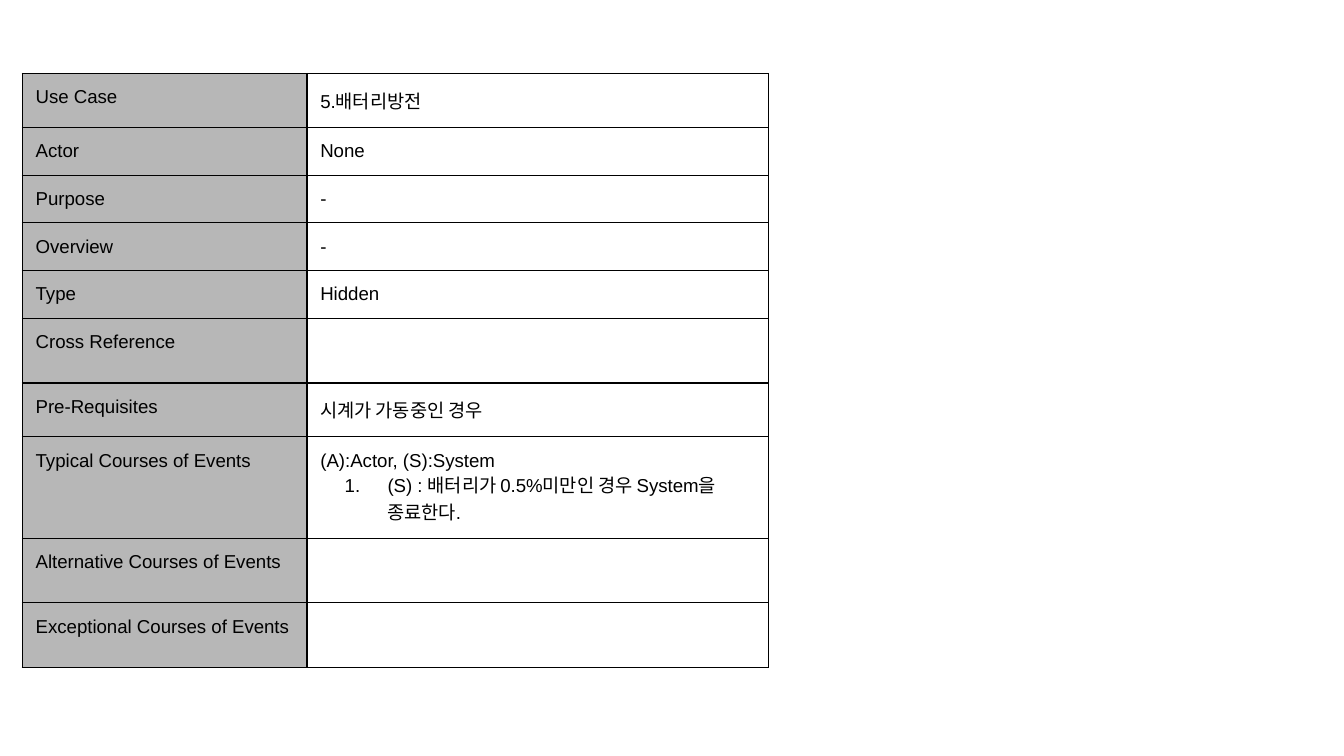
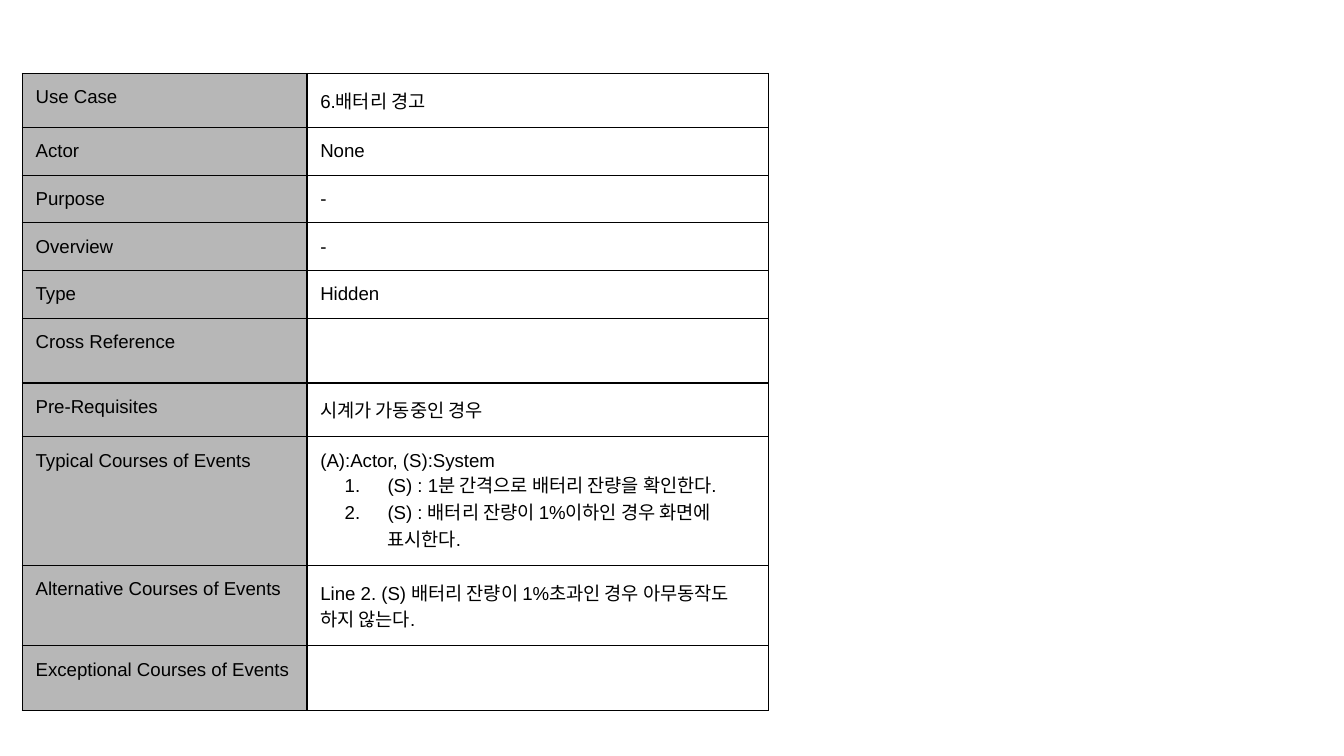
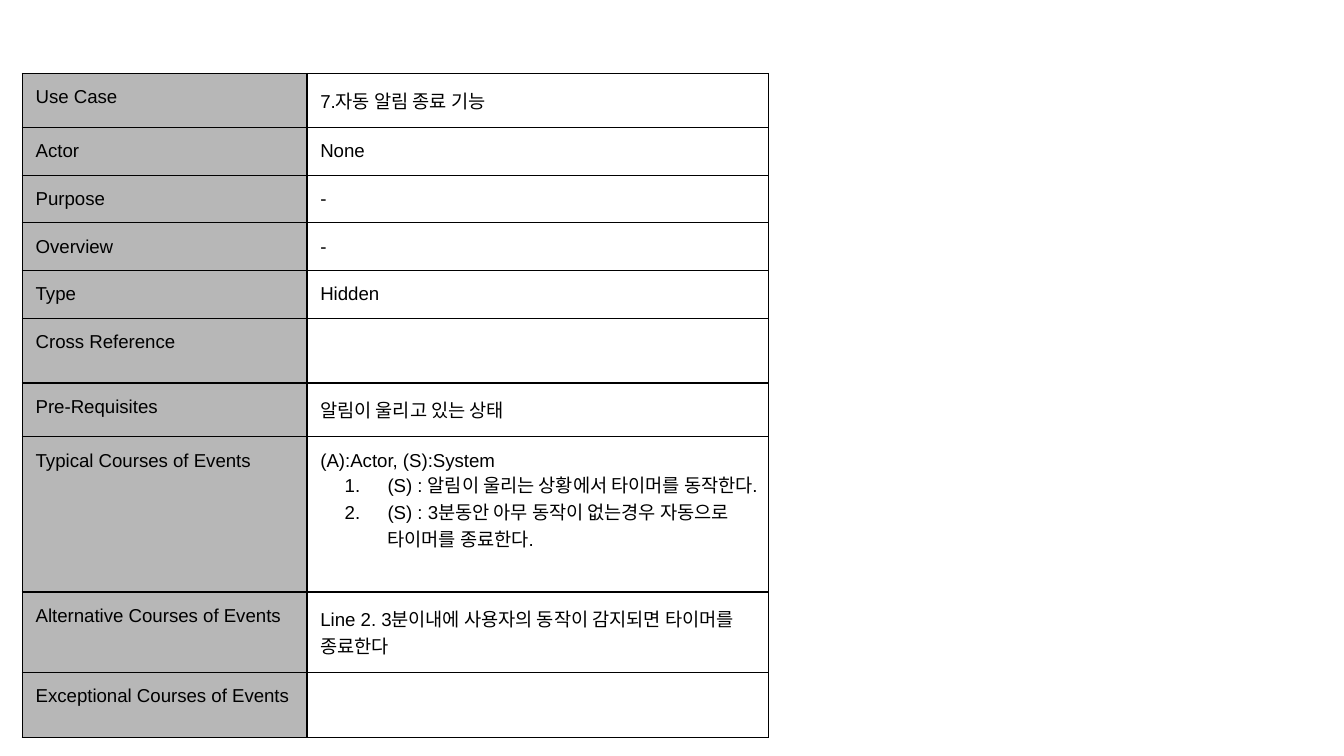
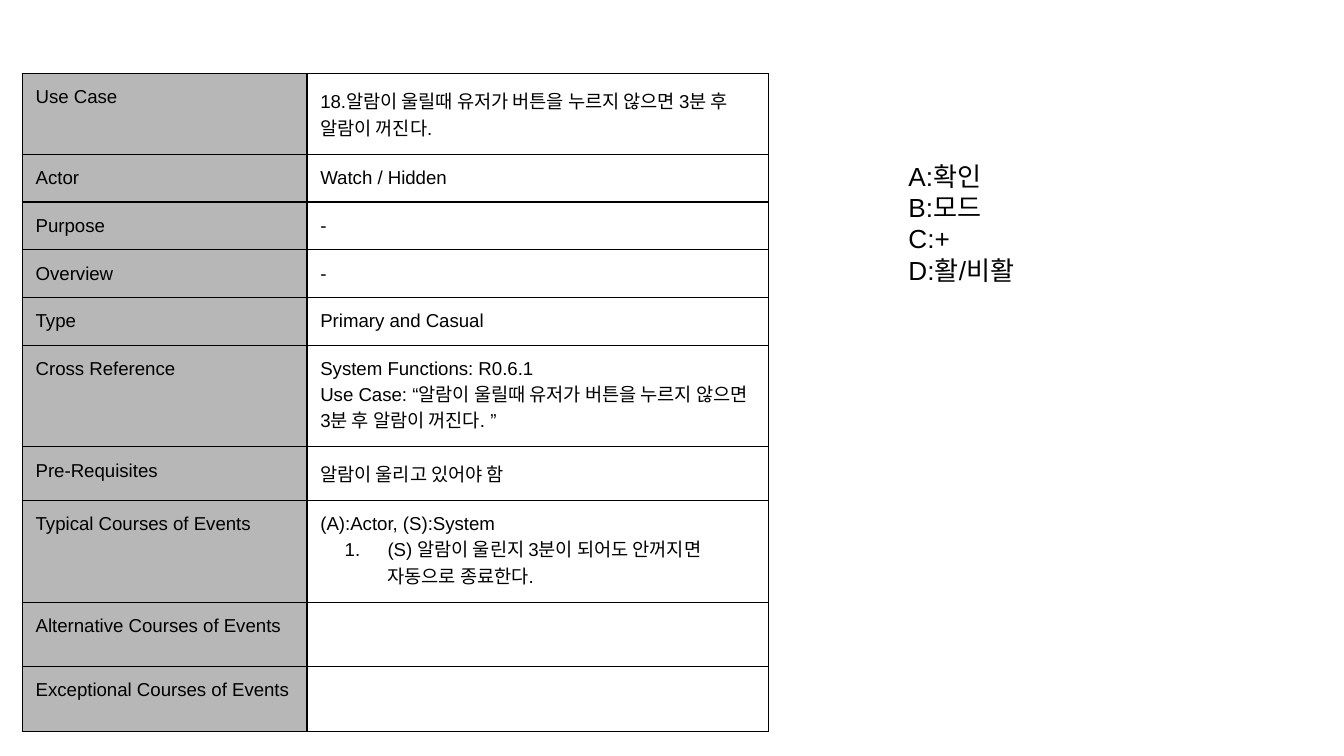
from dataclasses import dataclass

from lxml import etree
from pptx import Presentation
from pptx.dml.color import RGBColor
from pptx.enum.text import MSO_ANCHOR, MSO_AUTO_SIZE
from pptx.oxml.ns import qn
from pptx.util import Cm, Pt

TOP = MSO_ANCHOR.TOP
GROW = MSO_AUTO_SIZE.SHAPE_TO_FIT_TEXT
BLANK_LAYOUT = 6


@dataclass(frozen=True)
class Theme:
    """Colours, type and spacing shared by all slides."""

    font: str = "Arial"
    ink: str = "000000"
    label_fill: str = "B7B7B7"
    cell_size: int = 10
    empty_size: int = 18
    note_size: int = 14
    border: float = 0.75
    inset: float = 7.2
    step_indent: float = 1.27
    step_hang: float = 0.81


@dataclass(frozen=True)
class Box:
    """Left, top, width and height in centimetres."""

    left: float
    top: float
    width: float
    height: float


@dataclass(frozen=True)
class UseCase:
    """Wording of one use case."""

    name: str
    prerequisite: str
    steps: tuple
    alternative: str = ""
    actor: str = "None"
    kind: str = "Hidden"
    references: tuple = ()

    def values(self):
        """Return the paragraphs of each value cell, steps excluded."""
        return [[self.name], [self.actor], ["-"], ["-"], [self.kind],
                list(self.references), [self.prerequisite],
                ["(A):Actor, (S):System"],
                [self.alternative] if self.alternative else [], []]


THEME = Theme()
TABLE_BOX = Box(0.42, 1.39, 14.1, 6.6)
NOTE_BOX = Box(16.92, 2.77, 7.52, 2.9)
LABEL_WIDTH = 5.38
ROW_HEIGHT = 0.64
STEPS_LABEL = "Typical Courses of Events"
LABELS = ["Use Case", "Actor", "Purpose", "Overview", "Type", "Cross Reference",
          "Pre-Requisites", STEPS_LABEL, "Alternative Courses of Events",
          "Exceptional Courses of Events"]
BUTTONS = ["A:확인", "B:모드", "C:+", "D:활/비활"]

USE_CASES = [
    UseCase("5.배터리방전", "시계가 가동중인 경우",
            ("(S) : 배터리가 0.5%미만인 경우 System을 종료한다.",)),
    UseCase("6.배터리 경고", "시계가 가동중인 경우",
            ("(S) : 1분 간격으로 배터리 잔량을 확인한다.",
             "(S) : 배터리 잔량이 1%이하인 경우 화면에 표시한다."),
            "Line 2. (S) 배터리 잔량이 1%초과인 경우 아무동작도 하지 않는다."),
    UseCase("7.자동 알림 종료 기능", "알림이 울리고 있는 상태",
            ("(S) : 알림이 울리는 상황에서 타이머를 동작한다.",
             "(S) : 3분동안 아무 동작이 없는경우 자동으로 타이머를 종료한다."),
            "Line 2. 3분이내에 사용자의 동작이 감지되면 타이머를 종료한다"),
    UseCase("18.알람이 울릴때 유저가 버튼을 누르지 않으면 3분 후 알람이 꺼진다.",
            "알람이 울리고 있어야 함",
            ("(S) 알람이 울린지 3분이 되어도 안꺼지면 자동으로 종료한다.",),
            actor="Watch / Hidden", kind="Primary and Casual",
            references=("System Functions: R0.6.1",
                        "Use Case: “알람이 울릴때 유저가 버튼을 누르지 않으면 "
                        "3분 후 알람이 꺼진다. ”")),
]


def add_child(parent, tag, **attributes):
    """Append a drawing element with the given attributes."""
    return etree.SubElement(parent, qn(tag), attributes)


def add_colour(parent, colour):
    """Append a plain colour value."""
    add_child(parent, "a:srgbClr", val=colour)


def add_span(para, text, size):
    """Append one formatted run to a paragraph and return it."""
    span = para.add_run()
    span.text = text
    span.font.size = Pt(size)
    span.font.name = THEME.font
    span.font.color.rgb = RGBColor.from_string(THEME.ink)
    return span


def number_para(para):
    """Turn a paragraph into a numbered step."""
    props = para._p.get_or_add_pPr()
    props.set("marL", str(Cm(THEME.step_indent)))
    props.set("indent", str(-Cm(THEME.step_hang)))
    add_colour(add_child(props, "a:buClr"), THEME.ink)
    add_child(props, "a:buSzPts", val=str(THEME.cell_size * 100))
    add_child(props, "a:buFont", typeface=THEME.font)
    add_child(props, "a:buAutoNum", type="arabicPeriod")


def write_lines(frame, lines, size, steps=()):
    """Write plain lines and then numbered steps, and return the runs."""
    spans = []
    for index, text in enumerate([*lines, *steps]):
        para = frame.add_paragraph() if index else frame.paragraphs[0]
        if index >= len(lines):
            number_para(para)
        spans.append(add_span(para, text, size))
    return spans


def set_insets(target):
    """Give a cell or text frame the same inset on every side."""
    for side in ("left", "top", "right", "bottom"):
        setattr(target, f"margin_{side}", Pt(THEME.inset))


def draw_borders(cell):
    """Outline all four sides of a cell."""
    props = cell._tc.get_or_add_tcPr()
    for tag in ("a:lnL", "a:lnR", "a:lnT", "a:lnB"):
        line = add_child(props, tag, w=str(Pt(THEME.border)))
        add_colour(add_child(line, "a:solidFill"), THEME.ink)


def fill_cell(cell, lines, steps=(), colour=None):
    """Format a cell and write its paragraphs."""
    set_insets(cell)
    cell.vertical_anchor = TOP
    draw_borders(cell)
    if colour:
        cell.fill.solid()
        cell.fill.fore_color.rgb = RGBColor.from_string(colour)
    else:
        cell.fill.background()
    if lines:
        write_lines(cell.text_frame, lines, THEME.cell_size, steps)
    else:
        end = add_child(cell.text_frame.paragraphs[0]._p, "a:endParaRPr",
                        sz=str(THEME.empty_size * 100))
        add_child(end, "a:latin", typeface=THEME.font)


def add_use_case_table(page, box, case):
    """Place the two-column description of a use case."""
    table = page.shapes.add_table(len(LABELS), 2, Cm(box.left), Cm(box.top),
                                  Cm(box.width), Cm(box.height)).table
    table.first_row = False
    table.horz_banding = False
    table.columns[0].width = Cm(LABEL_WIDTH)
    table.columns[1].width = Cm(box.width - LABEL_WIDTH)
    for index, (label, lines) in enumerate(zip(LABELS, case.values())):
        table.rows[index].height = Cm(ROW_HEIGHT)
        steps = case.steps if label == STEPS_LABEL else ()
        fill_cell(table.cell(index, 0), [label], colour=THEME.label_fill)
        fill_cell(table.cell(index, 1), lines, steps)


def add_button_note(page, box):
    """Place the legend of the watch buttons."""
    frame = page.shapes.add_textbox(Cm(box.left), Cm(box.top),
                                    Cm(box.width), Cm(box.height)).text_frame
    frame.word_wrap = True
    frame.auto_size = GROW
    set_insets(frame)
    for span in write_lines(frame, BUTTONS, THEME.note_size):
        add_child(span.font._element, "a:ea", typeface=THEME.font)


def main():
    """Build and save the deck."""
    deck = Presentation()
    deck.slide_width, deck.slide_height = Cm(25.4), Cm(14.29)
    for case in USE_CASES:
        page = deck.slides.add_slide(deck.slide_layouts[BLANK_LAYOUT])
        add_use_case_table(page, TABLE_BOX, case)
    add_button_note(page, NOTE_BOX)
    deck.save("out.pptx")


if __name__ == "__main__":
    main()
